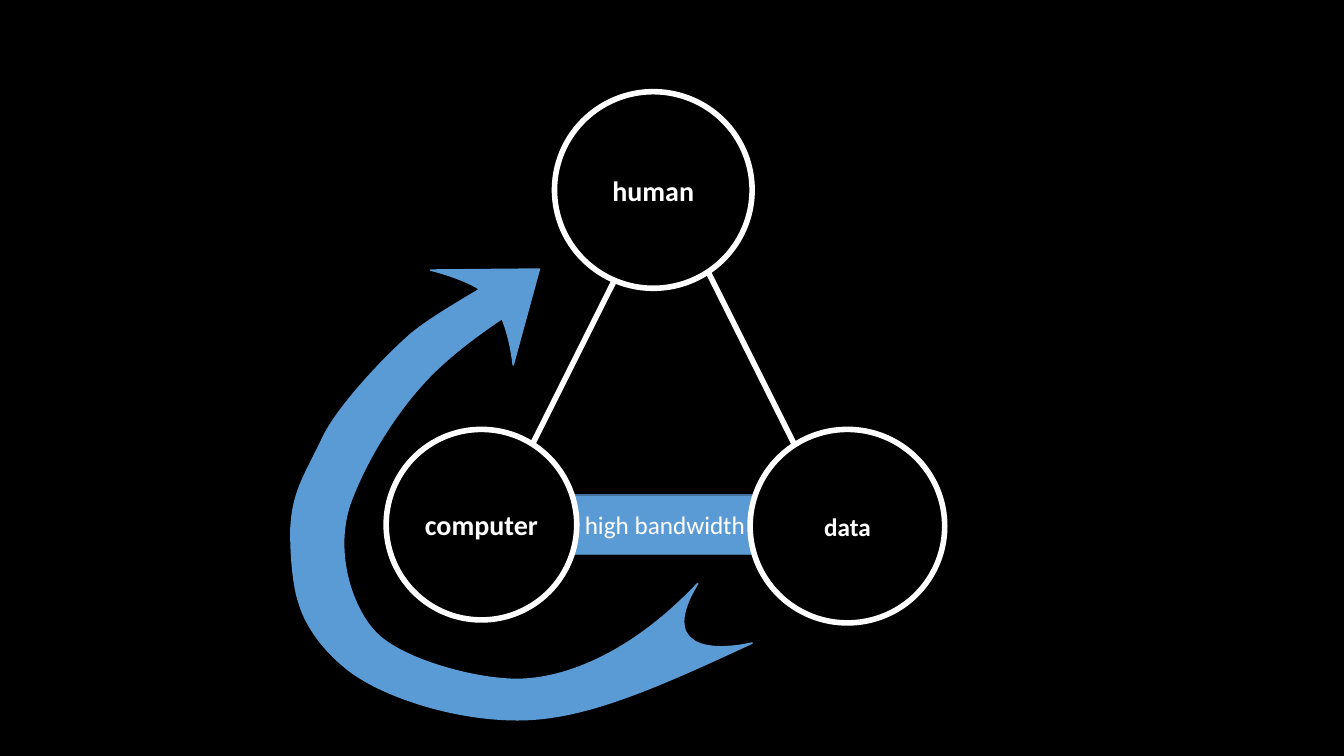
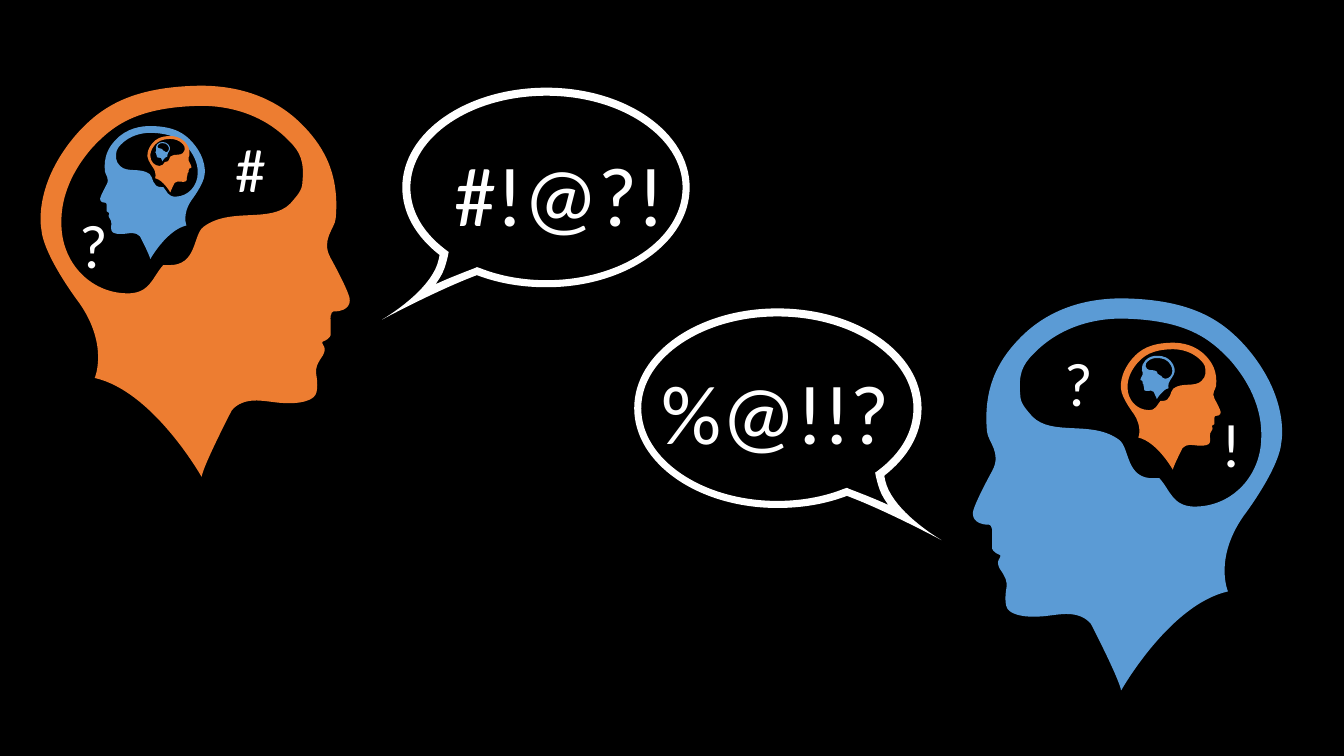
from lxml import etree
from pptx import Presentation
from pptx.dml.color import RGBColor
from pptx.enum import shapes, text
from pptx.oxml import ns
from pptx.util import Pt

PX = 9144
FONT = "Calibri"
BLACK, WHITE = "000000", "FFFFFF"
BLUE, BLUE_EDGE, ORANGE = "5B9BD5", "43739E", "ED7D31"

HEAD_SIZE = (316, 388)
SKULL = [
    (45, 47), (67, 23, 96, 1, 167, 0), (195, 0, 237, 6, 270, 41),
    (290, 62, 305, 89, 301, 132), (300, 142, 286, 153, 296, 171),
    (296, 171, 316, 207, 315, 213), (315, 213, 316, 224, 299, 224),
    (299, 224, 295, 224, 296, 234), (296, 247), (296, 247, 296, 251, 288, 254),
    (288, 254, 287, 255, 289, 258), (289, 258, 293, 262, 286, 271),
    (284, 275, 280, 279, 282, 288), (282, 288, 285, 305, 279, 309),
    (279, 309, 271, 318, 240, 314), (230, 313, 210, 308, 198, 322),
    (198, 322, 170, 376, 168, 388), (168, 388, 120, 303, 62, 290),
    (62, 290, 76, 258, 47, 216), (47, 216, 11, 169, 9, 142), (9, 142, 0, 98, 45, 47),
]
BRAIN = [
    (93, 206), (117, 207, 119, 190, 130, 178), (132, 178, 134, 178, 135, 178),
    (164, 179, 159, 148, 170, 140), (197, 120, 236, 137, 256, 117),
    (262, 110, 268, 104, 268, 96), (270, 75, 266, 66, 255, 55),
    (228, 27, 193, 20, 168, 20), (102, 21, 79, 41, 60, 61),
    (31, 94, 29, 123, 29, 134), (29, 135, 29, 136, 29, 137), (29, 175, 57, 205, 93, 206),
]
BUBBLE_SIZE = (306, 230)
BUBBLE_OUTER = [
    (163, 0), (241, 0, 305, 44, 305, 99), (305, 154, 241, 198, 163, 198),
    (138, 198, 115, 194, 94, 186), (54, 201, 0, 230, 0, 230),
    (0, 230, 35, 210, 50, 185), (54, 179, 56, 172, 57, 166),
    (34, 148, 20, 125, 20, 99), (20, 44, 84, 0, 163, 0),
]
BUBBLE_INNER = [
    (163, 8), (88, 8, 28, 49, 28, 99), (28, 122, 40, 143, 62, 160), (66, 163), (65, 168),
    (63, 176, 61, 183, 57, 189), (56, 191, 54, 193, 53, 195), (66, 189, 79, 184, 92, 179),
    (94, 178), (97, 179), (117, 187, 140, 191, 163, 191),
    (237, 191, 298, 150, 298, 99), (298, 49, 237, 8, 163, 8),
]
ARROW_SIZE = (458, 448)
ARROW = [
    (247, 0), (139, 1), (139, 1, 169, 8, 188, 20), (166, 33, 134, 52, 119, 65),
    (94, 87, 47, 136, 32, 168), (17, 200, 3, 219, 1, 253), (0, 255, 0, 307, 9, 332),
    (16, 356, 35, 379, 52, 393), (83, 421, 160, 448, 229, 447),
    (293, 446, 361, 416, 458, 371), (413, 381, 366, 374, 404, 312),
    (334, 386, 265, 409, 219, 407), (173, 405, 109, 385, 86, 362),
    (63, 340, 42, 284, 59, 233), (78, 181, 115, 127, 148, 97),
    (167, 79, 192, 61, 210, 49), (219, 71, 221, 95, 221, 95), (247, 0),
]


def emu(*lengths):
    return [round(v * PX) for v in lengths]


def rgb(value):
    return RGBColor.from_string(value)


def paint(sp, fill, line=None, width=1):
    sp.shadow.inherit = False
    sp.fill.solid()
    sp.fill.fore_color.rgb = rgb(fill)
    if line:
        sp.line.color.rgb = rgb(line)
        sp.line.width = Pt(width)
    else:
        sp.line.fill.background()


def write(sp, words, size, bold=False):
    p = sp.text_frame.paragraphs[0]
    p.text = words
    p.font.name = FONT
    p.font.size = Pt(size)
    p.font.bold = bold
    p.font.color.rgb = rgb(WHITE)
    return p


def bend(sp, segments):
    lines = list(sp._element.iter(ns.qn("a:lnTo")))
    for line, (*controls, _) in zip(lines, segments):
        if not controls:
            continue
        line.tag = ns.qn("a:cubicBezTo")
        for i, (x, y) in enumerate(controls):
            pt = etree.Element(ns.qn("a:pt"), x=str(x - sp.left), y=str(y - sp.top))
            line.insert(i, pt)


def add_outline(s, box, size, outlines, mirrored=False):
    left, top, width, height = box
    w, h = size

    def place(segment):
        return [emu(left + (w - x if mirrored else x) * width / w, top + y * height / h)
                for x, y in zip(segment[::2], segment[1::2])]

    builder, segments = None, []
    for outline in outlines:
        (start,), *rest = [place(segment) for segment in outline]
        if builder is None:
            builder = s.shapes.build_freeform(*start, scale=1.0)
        else:
            builder.move_to(*start)
        builder.add_line_segments([segment[-1] for segment in rest], close=True)
        segments += rest
    sp = builder.convert_to_shape()
    bend(sp, segments)
    return sp


def add_head(s, box, color):
    sp = add_outline(s, box, HEAD_SIZE, (SKULL, BRAIN), mirrored=color == BLUE)
    paint(sp, color)


def add_bubble(s, left, top, mirrored=False):
    sp = add_outline(s, (left, top, *BUBBLE_SIZE), BUBBLE_SIZE,
                     (BUBBLE_OUTER, BUBBLE_INNER), mirrored)
    paint(sp, WHITE)


def add_symbols(s, box, words, size, wrap=False):
    sp = s.shapes.add_textbox(*emu(*box))
    sp.text_frame.word_wrap = wrap
    sp.text_frame.auto_size = text.MSO_AUTO_SIZE.SHAPE_TO_FIT_TEXT
    write(sp, words, size)


def add_label_shape(s, kind, box, words, size, fill, line, width, bold):
    sp = s.shapes.add_shape(kind, *emu(*box))
    paint(sp, fill, line, width)
    sp.text_frame.word_wrap = True
    sp.text_frame.vertical_anchor = text.MSO_ANCHOR.MIDDLE
    write(sp, words, size, bold).alignment = text.PP_ALIGN.CENTER


def add_edge(s, start, end):
    line = s.shapes.add_connector(shapes.MSO_CONNECTOR.STRAIGHT, *emu(*start, *end))
    line.line.color.rgb = rgb(WHITE)
    line.line.width = Pt(4)
    etree.SubElement(line._element.spPr, ns.qn("a:effectLst"))


def add_blank(prs):
    return prs.slides.add_slide(prs.slide_layouts[6])


def triangle_slide(prs):
    s = add_blank(prs)
    add_label_shape(s, shapes.MSO_SHAPE.RECTANGLE, (487, 491, 345, 59),
                    "high bandwidth", 18, BLUE, BLUE_EDGE, 1, False)
    apex = (658, 181)
    for foot in ((499, 499), (817, 499)):
        add_edge(s, apex, foot)
    for box, words, size in (
        ((550, 91, 196, 195), "human", 20),
        ((383, 426, 189, 189), "computer", 20),
        ((744, 426, 193, 192), "data", 18),
    ):
        add_label_shape(s, shapes.MSO_SHAPE.OVAL, box, words, size, BLACK, WHITE, 4, True)
    arrow = add_outline(s, (288, 267, *ARROW_SIZE), ARROW_SIZE, (ARROW,))
    paint(arrow, BLUE, BLUE, 1.13)


def dialogue_slide(prs):
    s = add_blank(prs)
    add_bubble(s, 379, 87)
    add_bubble(s, 628, 306, mirrored=True)
    for box, color in (
        ((964, 296, 316, 389), BLUE),
        ((1109, 340, 102, 126), ORANGE),
        ((1131, 353, 35, 43), BLUE),
        ((32, 85, 316, 388), ORANGE),
        ((99, 125, 107, 132), BLUE),
        ((145, 135, 45, 56), ORANGE),
        ((154, 141, 15, 19), BLUE),
    ):
        add_head(s, box, color)
    add_symbols(s, (441, 136, 231, 111), "#!@?!", 60)
    add_symbols(s, (646, 353, 249, 111), "%@!!?", 60)
    add_symbols(s, (69, 200, 49, 84), "?", 44)
    add_symbols(s, (224, 125, 65, 84), "#", 44, wrap=True)
    add_symbols(s, (1046, 337, 65, 84), "?", 44, wrap=True)
    add_symbols(s, (1202, 398, 112, 84), "!", 44, wrap=True)


def main():
    prs = Presentation()
    prs.slide_width, prs.slide_height = emu(1333, 750)
    background = prs.slide_master.background.fill
    background.solid()
    background.fore_color.rgb = rgb(BLACK)
    triangle_slide(prs)
    dialogue_slide(prs)
    prs.save("out.pptx")


if __name__ == "__main__":
    main()
